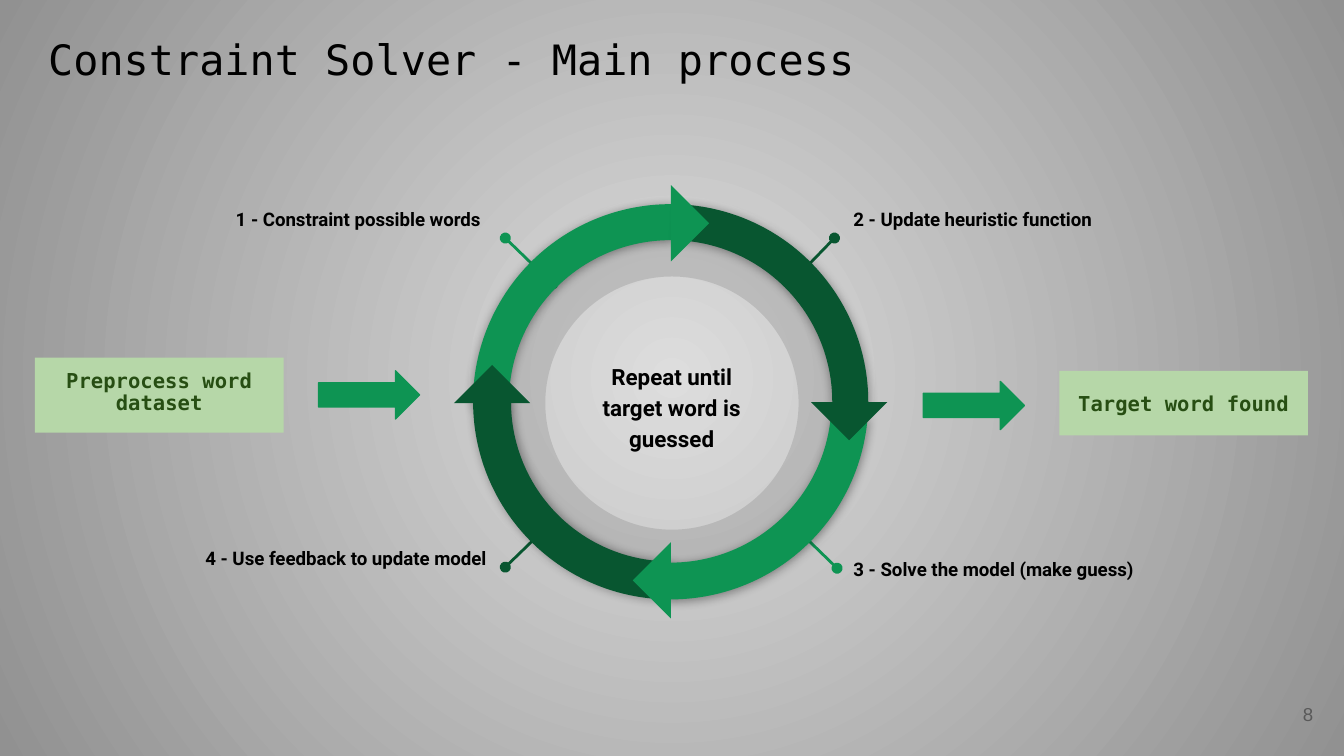
import pptx
import pptx.util
import pptx.dml.color
import pptx.enum.dml
import pptx.enum.shapes
import pptx.enum.text
import pptx.oxml
import pptx.oxml.ns

Cm = pptx.util.Cm
Pt = pptx.util.Pt
RGBColor = pptx.dml.color.RGBColor
Shape = pptx.enum.shapes.MSO_SHAPE
Align = pptx.enum.text.PP_ALIGN
Anchor = pptx.enum.text.MSO_ANCHOR

BLACK = RGBColor(0x00, 0x00, 0x00)
GREY = RGBColor(0x59, 0x59, 0x59)
CENTRE_GREY = RGBColor(0xDD, 0xDD, 0xDD)
EDGE_GREY = RGBColor(0x91, 0x91, 0x91)
GREEN = RGBColor(0x0E, 0x94, 0x53)
DARK_GREEN = RGBColor(0x08, 0x56, 0x30)
PALE_GREEN = RGBColor(0xB6, 0xD7, 0xA8)
TEXT_GREEN = RGBColor(0x27, 0x4E, 0x13)

NAMESPACE = pptx.oxml.ns.nsdecls("a")
MONO = "DejaVu Sans Mono"
TITLE_FONT = {"name": MONO, "size": Pt(22.4), "bold": False}
NUMBER_FONT = {"name": "Arial", "size": Pt(10)}
LABEL_FONT = {"name": "Roboto", "size": Pt(10), "bold": True}
CENTRE_FONT = {"name": "Roboto", "size": Pt(12), "bold": True}
BOX_FONT = {"name": MONO, "size": Pt(11), "bold": True}
FRAME_FORMAT = {
    "word_wrap": True,
    "auto_size": pptx.enum.text.MSO_AUTO_SIZE.NONE,
    "margin_left": Cm(0.25),
    "margin_top": Cm(0.25),
    "margin_right": Cm(0.25),
    "margin_bottom": Cm(0.25),
}


def write_text(shape, text, color, font_format, paragraph_format, anchor=Anchor.TOP):
    frame = shape.text_frame
    frame.text = text
    paragraph = frame.paragraphs[0]
    font = paragraph.runs[0].font
    font.color.rgb = color
    for target, values in (
        (frame, {**FRAME_FORMAT, "vertical_anchor": anchor}),
        (paragraph, paragraph_format),
        (font, font_format),
    ):
        for name, value in values.items():
            setattr(target, name, value)


def add_filled_shape(kind, left, top, width, height, color, rotation=0):
    shape = slide.shapes.add_shape(kind, Cm(left), Cm(top), Cm(width), Cm(height))
    shape.rotation = rotation
    shape.fill.solid()
    shape.fill.fore_color.rgb = color
    shape.line.fill.background()
    shape.shadow.inherit = False
    return shape


presentation = pptx.Presentation()
presentation.slide_width = Cm(25.4)
presentation.slide_height = Cm(14.29)
slide = presentation.slides.add_slide(presentation.slide_layouts[5])

background = slide.background.fill
background.gradient()
for stop, color in zip(background.gradient_stops, (CENTRE_GREY, EDGE_GREY)):
    stop.color.rgb = color
linear = next(slide.element.iter(pptx.oxml.ns.qn("a:lin")))
linear.getparent().replace(linear, pptx.oxml.parse_xml(
    f'<a:path {NAMESPACE} path="circle">'
    '<a:fillToRect l="50000" t="50000" r="50000" b="50000"/></a:path>'))

title = slide.shapes.title
title.left, title.top, title.width, title.height = Cm(0.66), Cm(0.38), Cm(23.67), Cm(1.6)
write_text(title, "Constraint Solver - Main process", BLACK, TITLE_FONT,
           {"alignment": Align.LEFT})

number = slide.shapes.add_textbox(Cm(23.55), Cm(12.95), Cm(1.52), Cm(1.09))
write_text(number, "8", GREY, NUMBER_FONT, {"alignment": Align.RIGHT}, Anchor.MIDDLE)

for text, left, top, height, spacing, anchor in (
    ("Preprocess word dataset", 0.66, 6.76, 1.42, 0.9, Anchor.TOP),
    ("Target word found", 20.02, 7.01, 1.22, 1.0, Anchor.MIDDLE),
):
    box = add_filled_shape(Shape.RECTANGLE, left, top, 4.7, height, PALE_GREEN)
    write_text(box, text, TEXT_GREEN, BOX_FONT,
               {"alignment": Align.CENTER, "line_spacing": spacing, "space_after": Pt(12)},
               anchor)

donut = add_filled_shape(Shape.DONUT, 9.17, 4.09, 7.06, 7.06, BLACK)
donut.adjustments[0] = 0.161
donut_color = next(donut.element.spPr.iter(pptx.oxml.ns.qn("a:srgbClr")))
donut_color.append(pptx.oxml.parse_xml(f'<a:alpha {NAMESPACE} val="11000"/>'))

for text, color, dot, ring, label, align in (
    ("1 - Constraint possible words ", GREEN,
     (9.55, 4.5), (10.52, 5.44), (3.45, 3.61, 5.97), Align.RIGHT),
    ("4 - Use feedback to update model", DARK_GREEN,
     (9.55, 10.72), (10.52, 9.78), (2.84, 10.03, 6.6), Align.RIGHT),
    ("3 - Solve the model (make guess)", GREEN,
     (15.82, 10.74), (14.83, 9.78), (15.88, 10.24, 6.27), Align.LEFT),
    ("2 - Update heuristic function", DARK_GREEN,
     (15.77, 4.5), (14.86, 5.44), (15.88, 3.61, 5.97), Align.LEFT),
):
    group = slide.shapes.add_group_shape()
    connector = group.shapes.add_connector(
        pptx.enum.shapes.MSO_CONNECTOR.STRAIGHT, *map(Cm, dot + ring))
    connector.line.color.rgb = color
    connector.line.width = Pt(1.5)
    connector.line._get_or_add_ln().append(
        pptx.oxml.parse_xml(f'<a:headEnd {NAMESPACE} type="oval"/>'))
    connector.element.spPr.append(pptx.oxml.parse_xml(f"<a:effectLst {NAMESPACE}/>"))
    left, top, width = label
    label_box = group.shapes.add_textbox(Cm(left), Cm(top), Cm(width), Cm(1.85))
    write_text(label_box, text, BLACK, LABEL_FONT,
               {"alignment": align, "line_spacing": 1.15})

centre = slide.shapes.add_textbox(Cm(10.69), Cm(6.55), Cm(4.01), Cm(2.24))
write_text(centre, "Repeat until target word is guessed", BLACK, CENTRE_FONT,
           {"alignment": Align.CENTER, "line_spacing": 1.15}, Anchor.MIDDLE)

for color, rotation, flipped, adjustments, direction in (
    (GREEN, 330, True, (143.49, 198.72, 0.091), 90),
    (DARK_GREEN, 30, False, (145.46, 199.02, 0.091), 90),
    (DARK_GREEN, 150, False, (180.42, 17.99, 0.096), 0),
    (GREEN, 210, True, (179.67, 15.3, 0.093), 90),
):
    arc = add_filled_shape(Shape.BLOCK_ARC, 8.94, 3.86, 7.47, 7.47, color, rotation)
    for index, adjustment in enumerate(adjustments):
        arc.adjustments[index] = adjustment
    if flipped:
        arc.element.spPr.xfrm.set("flipH", "1")
    effects = arc.element.spPr.find(pptx.oxml.ns.qn("a:effectLst"))
    effects.append(pptx.oxml.parse_xml(
        f'<a:outerShdw {NAMESPACE} blurRad="{Pt(5.6)}" dist="{Pt(0.8)}" '
        f'dir="{direction * 60000}" algn="ctr" rotWithShape="0">'
        '<a:srgbClr val="000000"><a:alpha val="40000"/></a:srgbClr></a:outerShdw>'))

for left, top, rotation, color in (
    (8.79, 7.11, 135, DARK_GREEN),
    (15.54, 7.09, 315, DARK_GREEN),
    (12.17, 10.46, 45, GREEN),
    (12.17, 3.71, 225, GREEN),
):
    add_filled_shape(Shape.RIGHT_TRIANGLE, left, top, 1.02, 1.02, color, rotation)

for left, top in ((6.02, 7.01), (17.45, 7.21)):
    arrow = add_filled_shape(Shape.RIGHT_ARROW, left, top, 1.91, 0.91, GREEN)
    arrow.line.color.rgb = GREEN
    arrow.line.width = Pt(0.75)

presentation.save("out.pptx")
